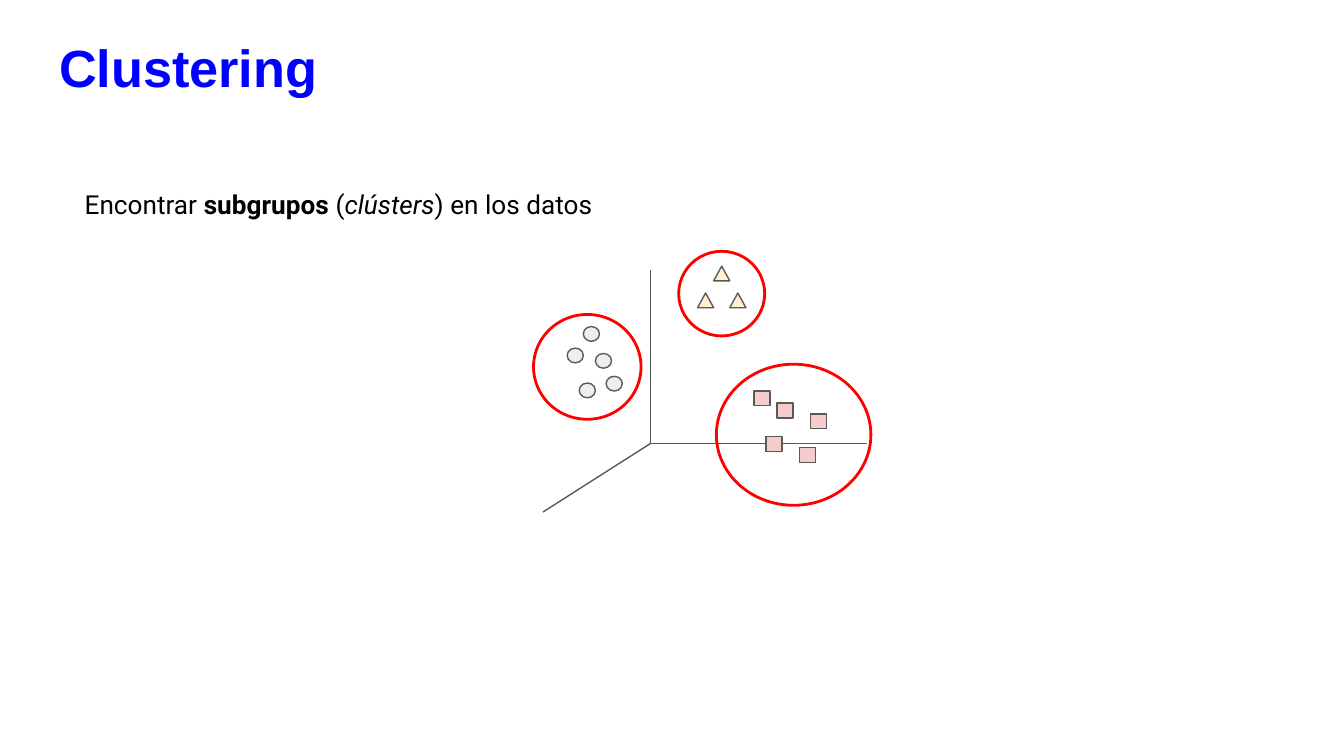
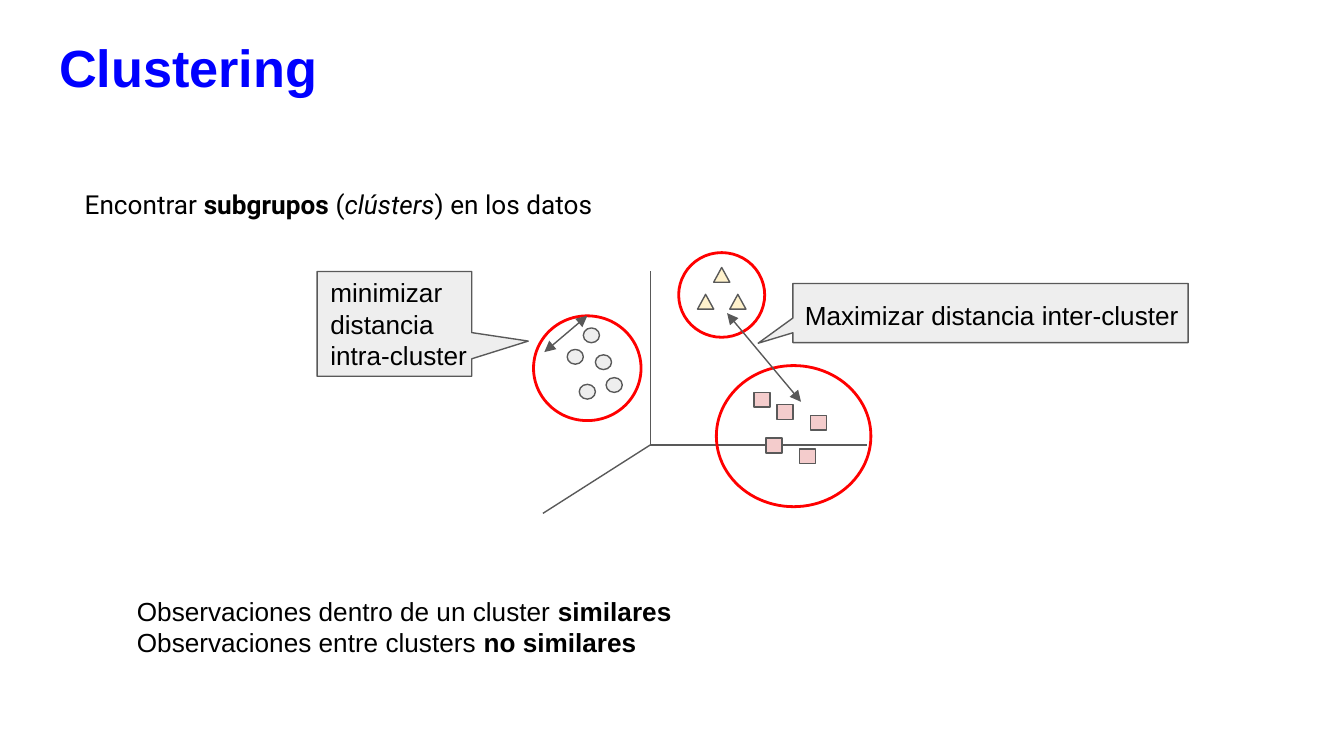
from dataclasses import dataclass

from lxml.etree import SubElement
from pptx import Presentation
from pptx.dml.color import RGBColor
from pptx.enum.shapes import MSO_CONNECTOR, MSO_SHAPE
from pptx.enum.text import MSO_ANCHOR, MSO_AUTO_SIZE, PP_ALIGN
from pptx.oxml.ns import qn
from pptx.util import Inches, Pt


@dataclass(frozen=True)
class Theme:
    blue: str = "0000FF"
    black: str = "000000"
    gray: str = "595959"
    pale: str = "EEEEEE"
    cream: str = "FFF2CC"
    pink: str = "F4CCCC"
    red: str = "FF0000"
    sans: str = "Arial"
    body: str = "Roboto"
    big: int = 28
    text: int = 14
    thin: float = 0.75
    thick: float = 1.5
    inset: float = 0.1


THEME = Theme()

# Cluster marks: shape, fill, top left corners
MARKS = [
    (MSO_SHAPE.OVAL, THEME.pale,
     [(4.34, 2.43), (4.22, 2.59), (4.51, 2.8), (4.43, 2.63), (4.31, 2.85)]),
    (MSO_SHAPE.ISOSCELES_TRIANGLE, THEME.cream,
     [(5.31, 1.98), (5.19, 2.18), (5.43, 2.18)]),
    (MSO_SHAPE.RECTANGLE, THEME.pink,
     [(5.61, 2.91), (5.78, 3), (5.95, 3.33), (6.03, 3.08), (5.7, 3.25)]),
]
MARK_SIZE = (0.12, 0.11)
# Rings around the dots, the triangles and the squares
RINGS = [(3.97, 2.34, 0.8, 0.78), (5.05, 1.87, 0.64, 0.63),
         (5.33, 2.71, 1.15, 1.05)]
ORIGIN = (4.84, 3.3)
AXES = [(4.84, 2.01), (6.45, 3.3), (4.04, 3.81)]

INTRO = [("Encontrar ", ""), ("subgrupos ", "b"), ("(", ""),
         ("clústers", "i"), (") en los datos", "")]


def write(frame, lines, font=THEME.sans, size=THEME.text,
          color=THEME.black, bold=False, fit=MSO_AUTO_SIZE.SHAPE_TO_FIT_TEXT):
    """Fill a frame; each line is a list of (text, style) runs."""
    frame.word_wrap = True
    frame.auto_size = fit
    frame.vertical_anchor = MSO_ANCHOR.TOP
    frame.margin_left = frame.margin_right = Inches(THEME.inset)
    frame.margin_top = frame.margin_bottom = Inches(THEME.inset)
    for num, line in enumerate(lines):
        para = frame.add_paragraph() if num else frame.paragraphs[0]
        props = para._p.get_or_add_pPr()
        props.set("marL", "0")
        props.set("indent", "0")
        SubElement(props, qn("a:buNone"))
        para.alignment = PP_ALIGN.LEFT
        para.space_before = Pt(0)
        for text, style in line:
            run = para.add_run()
            run.text = text
            run.font.name = font
            run.font.size = Pt(size)
            run.font.bold = bold or style == "b"
            run.font.italic = style == "i"
            run.font.color.rgb = RGBColor.from_string(color)


class Deck:
    def __init__(self, theme):
        self.theme = theme
        self.show = Presentation()
        # Widescreen, 16 to 9
        self.show.slide_width = Inches(10)
        self.show.slide_height = Inches(10) * 9 // 16
        self.slide = None

    def start(self, title, intro):
        """Add a slide with its title and opening sentence."""
        look = self.theme
        self.slide = self.show.slides.add_slide(self.show.slide_layouts[1])
        head, body = self.slide.placeholders
        self.place(head, 0.34, 0.16, 9.66, 0.63)
        write(head.text_frame, [[(title, "")]], size=look.big,
              color=look.blue, bold=True, fit=MSO_AUTO_SIZE.NONE)
        self.place(body, 0.53, 1.3, 4.25, 0.44)
        write(body.text_frame, [intro], font=look.body)

    def place(self, shape, *box):
        shape.left, shape.top, shape.width, shape.height = map(Inches, box)

    def text(self, box, *lines):
        item = self.slide.shapes.add_textbox(*map(Inches, box))
        write(item.text_frame, lines)

    def shape(self, kind, box, fill=None, line=THEME.gray,
              width=THEME.thin, tip=()):
        item = self.slide.shapes.add_shape(kind, *map(Inches, box))
        item.shadow.inherit = False
        if fill:
            item.fill.solid()
            item.fill.fore_color.rgb = RGBColor.from_string(fill)
        else:
            item.fill.background()
        item.line.color.rgb = RGBColor.from_string(line)
        item.line.width = Pt(width)
        for num, value in enumerate(tip):
            item.adjustments[num] = value
        return item

    def note(self, box, tip):
        self.shape(MSO_SHAPE.RECTANGULAR_CALLOUT, box, self.theme.pale,
                   tip=tip)

    def line(self, start, end, heads=False):
        item = self.slide.shapes.add_connector(
            MSO_CONNECTOR.STRAIGHT, *map(Inches, (*start, *end)))
        item.line.color.rgb = RGBColor.from_string(self.theme.gray)
        item.line.width = Pt(self.theme.thin)
        if heads:
            stroke = item.line._get_or_add_ln()
            for tag in ("a:headEnd", "a:tailEnd"):
                SubElement(stroke, qn(tag), type="triangle")
        SubElement(item._element.spPr, qn("a:effectLst"))
        return item

    def plot(self, drop=0):
        """Draw axes, marks and rings, moved down by drop; return the rings."""
        def low(x, y, *size):
            return (x, y + drop, *size)

        for end in AXES:
            self.line(low(*ORIGIN), low(*end))
        for kind, fill, spots in MARKS:
            for spot in spots:
                self.shape(kind, low(*spot, *MARK_SIZE), fill)
        return [self.shape(MSO_SHAPE.OVAL, low(*ring), line=self.theme.red,
                           width=self.theme.thick) for ring in RINGS]


def main():
    deck = Deck(THEME)

    # Slide 1: the clusters
    deck.start("Clustering", INTRO)
    deck.plot()

    # Slide 2: distances within and between clusters
    deck.start("Clustering", INTRO)
    deck.note((5.9, 2.11, 2.94, 0.44), (-0.588, 0.51))
    deck.note((2.36, 2.02, 1.15, 0.78), (0.866, 0.164))
    dots = deck.plot(drop=0.01)[0]
    deck.line((5.41, 2.33), (5.96, 2.99), heads=True)
    inner = deck.line((4.37, 2.35), (4.05, 2.62), heads=True)
    inner.begin_connect(dots, 0)

    # Callout labels and summary
    deck.text((5.89, 2.13, 3.86, 0.44),
              [("Maximizar distancia inter-cluster", "")])
    deck.text((2.36, 1.96, 1.3, 0.91),
              [("minimizar distancia intra-cluster", "")])
    deck.text((0.92, 4.33, 6.08, 0.67),
              [("Observaciones dentro de un cluster ", ""),
               ("similares", "b")],
              [("Observaciones entre clusters ", ""),
               ("no similares", "b")])

    deck.show.save("out.pptx")


if __name__ == "__main__":
    main()
